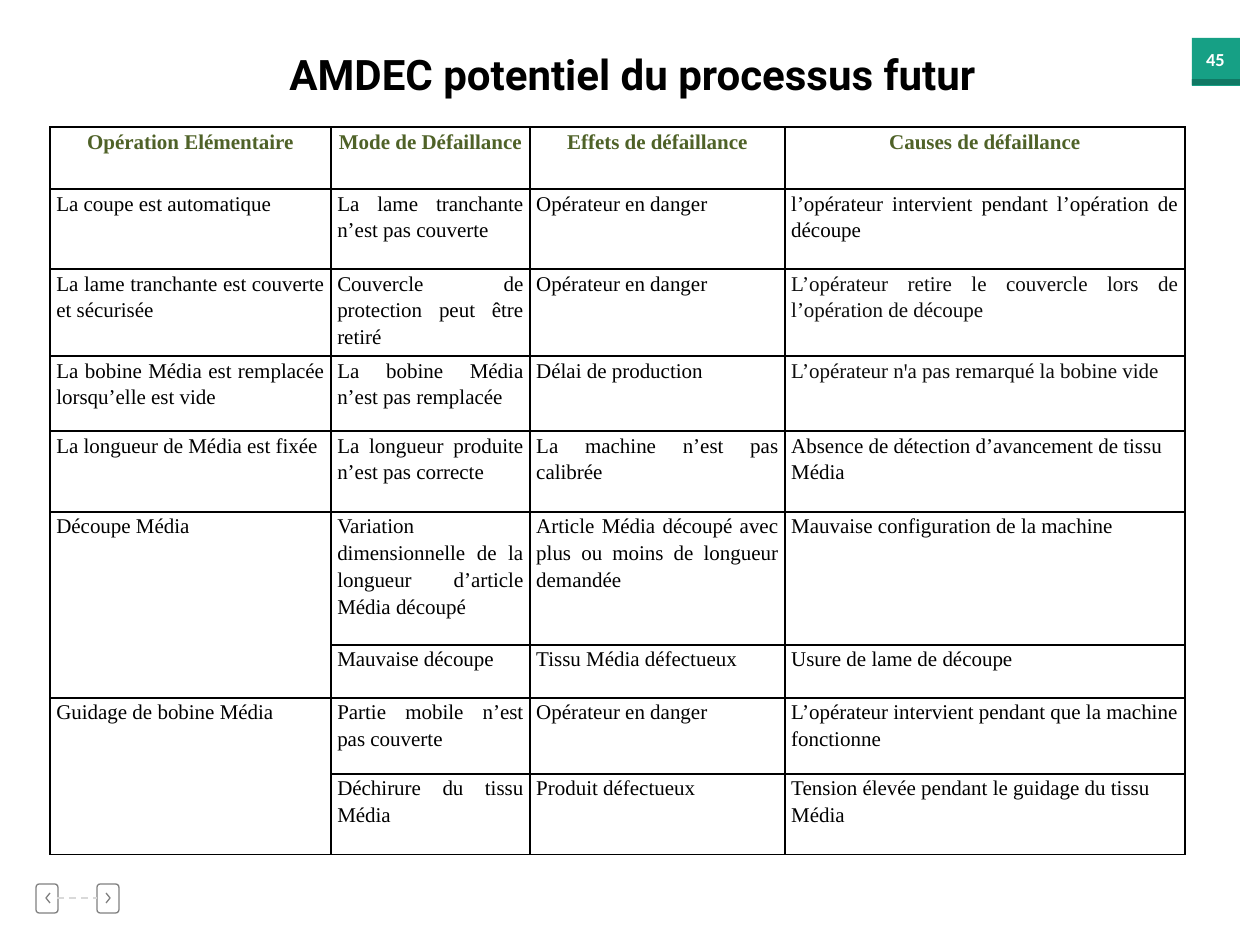
from lxml.etree import SubElement
from pptx import Presentation
from pptx.dml.color import RGBColor
from pptx.enum.dml import MSO_LINE
from pptx.enum.shapes import MSO_CONNECTOR, MSO_SHAPE
from pptx.enum.text import MSO_AUTO_SIZE, PP_ALIGN as ALIGN
from pptx.oxml import parse_xml
from pptx.oxml.ns import nsdecls, qn
from pptx.util import Pt

PX = 914400 / 126  # EMU per px

TITLE = "AMDEC potentiel du processus futur"
PAGE_NUMBER = "45"
HEADERS = ["Opération Elémentaire", "Mode de Défaillance",
           "Effets de défaillance", "Causes de défaillance"]
# None continues the cell above
FAILURES = [
    ("La coupe est automatique", "La lame tranchante n’est pas couverte",
     "Opérateur en danger", "l’opérateur intervient pendant l’opération de découpe"),
    ("La lame tranchante est couverte et sécurisée", "Couvercle de protection peut être retiré",
     "Opérateur en danger", "L’opérateur retire le couvercle lors de l’opération de découpe"),
    ("La bobine Média est remplacée lorsqu’elle est vide", "La bobine Média n’est pas remplacée",
     "Délai de production", "L’opérateur nꞌa pas remarqué la bobine vide"),
    ("La longueur de Média est fixée", "La longueur produite n’est pas correcte",
     "La machine n’est pas calibrée", "Absence de détection d’avancement de tissu Média"),
    ("Découpe Média", "Variation dimensionnelle de la longueur d’article Média découpé",
     "Article Média découpé avec plus ou moins de longueur demandée",
     "Mauvaise configuration de la machine"),
    (None, "Mauvaise découpe", "Tissu Média défectueux", "Usure de lame de découpe"),
    ("Guidage de bobine Média", "Partie mobile n’est pas couverte",
     "Opérateur en danger", "L’opérateur intervient pendant que la machine fonctionne"),
    (None, "Déchirure du tissu Média", "Produit défectueux",
     "Tension élevée pendant le guidage du tissu Média"),
]
TABLE_LEFT, TABLE_TOP = 50, 127
COLUMN_WIDTHS = [281, 199, 255, 400]
ROW_HEIGHTS = [62, 80, 87, 75, 81, 133, 53, 76, 81]
BADGE = [(1192, 38, 48, 48, "16A085"), (1192, 79, 48, 6, "107864")]
# Navigation buttons: box left, then chevron points
BUTTONS = [(36, [(50, 893), (46, 898), (50, 903)]),
           (97, [(106, 893), (110, 898), (106, 903)])]

TITLE_FONT = {"name": "Roboto", "size": Pt(24), "bold": True}
NUMBER_FONT = {"name": "Calibri", "size": Pt(10.5), "bold": True}
HEADER_FONT = {"name": "Times New Roman", "size": Pt(12), "bold": True}
BODY_FONT = {**HEADER_FONT, "bold": False}


def emu(*lengths):
    return [round(length * PX) for length in lengths]


def color(hex_string):
    return RGBColor.from_string(hex_string)


def write(paragraph, text, font, hex_string, align):
    paragraph.alignment = align
    run = paragraph.add_run()
    run.text = text
    for name, value in font.items():
        setattr(run.font, name, value)
    run.font.color.rgb = color(hex_string)


def add_text(slide, box, text, font, hex_string, align, wrap):
    frame = slide.shapes.add_textbox(*emu(*box)).text_frame
    frame.word_wrap = wrap
    frame.auto_size = MSO_AUTO_SIZE.SHAPE_TO_FIT_TEXT
    write(frame.paragraphs[0], text, font, hex_string, align)


def outline(shape):
    shape.shadow.inherit = False
    shape.fill.background()
    shape.line.color.rgb = color("808080")
    shape.line.width = Pt(0.75)


def add_borders(cell):
    properties = cell._tc.get_or_add_tcPr()
    for index, side in enumerate(("lnL", "lnR", "lnT", "lnB")):
        properties.insert(index, parse_xml(
            f'<a:{side} {nsdecls("a")} w="12700"><a:solidFill>'
            f'<a:srgbClr val="000000"/></a:solidFill></a:{side}>'))


def add_badge(slide):
    for *box, fill in BADGE:
        shape = slide.shapes.add_shape(MSO_SHAPE.RECTANGLE, *emu(*box))
        shape.shadow.inherit = False
        shape.fill.solid()
        shape.fill.fore_color.rgb = color(fill)
        shape.line.fill.background()
    add_text(slide, (1187, 42, 57, 35), PAGE_NUMBER, NUMBER_FONT, "FFFFFF",
             ALIGN.CENTER, False)


def add_navigation(slide):
    for left, chevron in BUTTONS:
        box = slide.shapes.add_shape(MSO_SHAPE.ROUNDED_RECTANGLE, *emu(left, 884, 22, 29))
        box.adjustments[0] = 0.15
        outline(box)
        builder = slide.shapes.build_freeform(*chevron[0], scale=PX)
        builder.add_line_segments(chevron[1:], close=False)
        outline(builder.convert_to_shape())
    dashes = slide.shapes.add_connector(MSO_CONNECTOR.STRAIGHT, *emu(57, 898, 97, 898))
    dashes.line.color.rgb = color("D9D9D9")
    dashes.line.width = Pt(1)
    dashes.line.dash_style = MSO_LINE.DASH
    SubElement(dashes._element.spPr, qn("a:effectLst"))


def cell_style(row, column):
    if row == 0:
        return HEADER_FONT, "4F6228", ALIGN.CENTER
    is_cause = column == 3
    align = ALIGN.LEFT if is_cause and row >= 4 else ALIGN.JUSTIFY
    return BODY_FONT, "0D0D0D" if is_cause and row in (2, 3) else "000000", align


def add_failure_table(slide):
    rows = [HEADERS, *FAILURES]
    table = slide.shapes.add_table(
        len(rows), len(HEADERS),
        *emu(TABLE_LEFT, TABLE_TOP, sum(COLUMN_WIDTHS), sum(ROW_HEIGHTS))).table
    table.first_row = table.horz_banding = False
    for column, width in zip(table.columns, emu(*COLUMN_WIDTHS)):
        column.width = width
    for row, height in zip(table.rows, emu(*ROW_HEIGHTS)):
        row.height = height
    for r, texts in enumerate(rows):
        for c, text in enumerate(texts):
            cell = table.cell(r, c)
            cell.fill.background()
            add_borders(cell)
            cell.margin_left = cell.margin_right = Pt(3.6)
            cell.margin_top = cell.margin_bottom = 0
            if text is None:
                table.cell(r - 1, c).merge(cell)
                continue
            paragraph = cell.text_frame.paragraphs[0]
            paragraph.line_spacing = 1.15
            paragraph.space_after = Pt(8)
            write(paragraph, text, *cell_style(r, c))


def main():
    presentation = Presentation()
    presentation.slide_width, presentation.slide_height = emu(1260, 945)
    slide = presentation.slides.add_slide(presentation.slide_layouts[6])
    add_badge(slide)
    add_navigation(slide)
    add_failure_table(slide)
    add_text(slide, (277, 42, 740, 63), TITLE, TITLE_FONT, "000000", ALIGN.LEFT, True)
    presentation.save("out.pptx")


if __name__ == "__main__":
    main()
